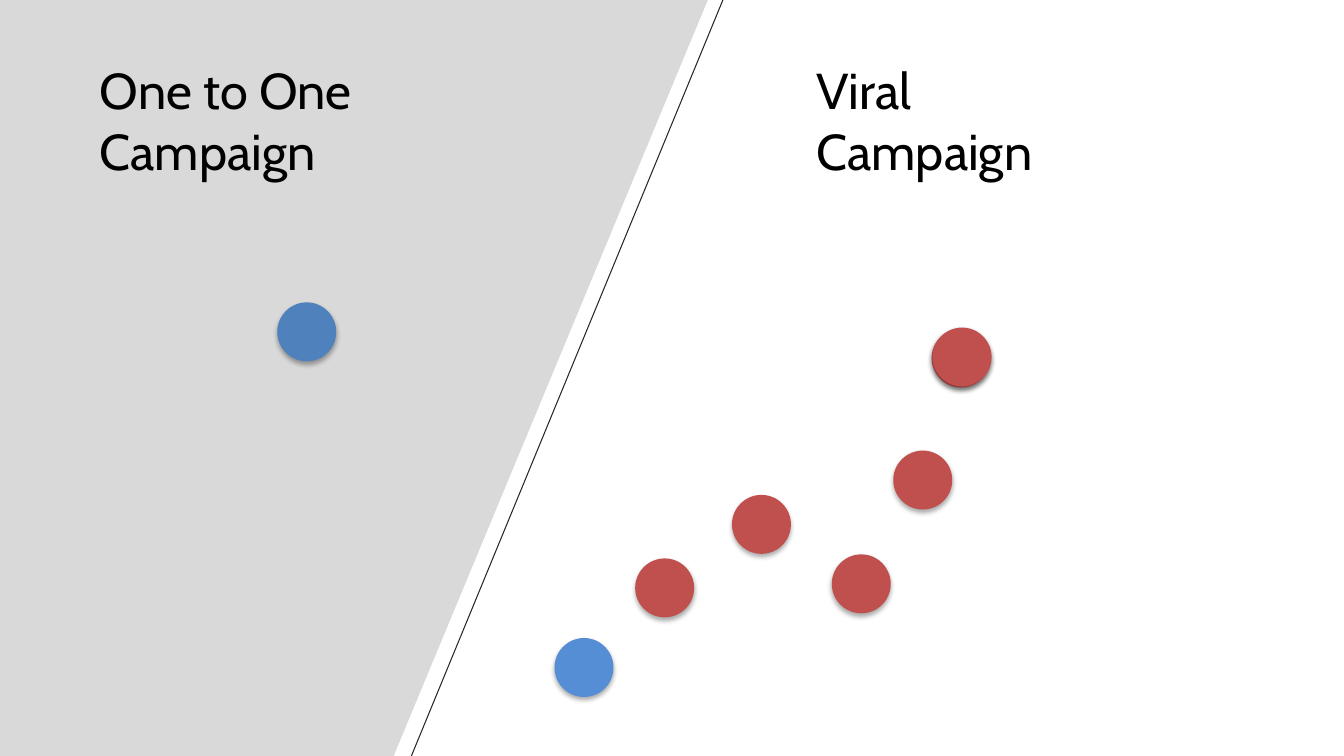
import pptx
import pptx.dml.color
import pptx.enum.shapes
import pptx.enum.text
import pptx.oxml
import pptx.oxml.ns
import pptx.util
from lxml import etree

COLORS = {
    "panel": "D9D9D9",
    "ink": "000000",
    "divider": "262626",
    "sender": "4F81BD",
    "seed": "558ED5",
    "follower": "C0504D",
    "shadow": "000000",
}
FONT = "Cabin"
SLIDE_WIDTH = pptx.util.Inches(13.33)
SLIDE_HEIGHT = pptx.util.Inches(7.5)
ROWS = 75
CELL = SLIDE_HEIGHT / ROWS
PERSON_SIZE = 5.85


def cells(count):
    return pptx.util.Emu(round(count * CELL))


def rgb(name):
    return pptx.dml.color.RGBColor.from_string(COLORS[name])


def add_effects(shape):
    properties = shape._element.spPr
    return etree.SubElement(properties, pptx.oxml.ns.qn("a:effectLst"))


def add_person(slide, box, column, row, color):
    left, top = box
    person = slide.shapes.add_shape(
        pptx.enum.shapes.MSO_SHAPE.OVAL,
        cells(left + column), cells(top + row),
        cells(PERSON_SIZE), cells(PERSON_SIZE),
    )
    person.fill.solid()
    person.fill.fore_color.rgb = rgb(color)
    person.line.fill.background()
    qn = pptx.oxml.ns.qn
    shadow = etree.SubElement(
        add_effects(person), qn("a:outerShdw"),
        blurRad=str(pptx.util.Pt(3.5)), dist=str(pptx.util.Pt(2.2)),
        dir="5400000", rotWithShape="0",
    )
    shade = etree.SubElement(shadow, qn("a:srgbClr"), val=COLORS["shadow"])
    etree.SubElement(shade, qn("a:alpha"), val="32000")


def add_heading(slide, box, column, width, wording):
    left, top = box
    heading = slide.shapes.add_textbox(
        cells(left + column), cells(top + 5.4), cells(width), cells(7.1)
    )
    frame = heading.text_frame
    frame.word_wrap = True
    frame.auto_size = pptx.enum.text.MSO_AUTO_SIZE.SHAPE_TO_FIT_TEXT
    run = frame.paragraphs[0].add_run()
    run.text = wording
    run.font.name = FONT
    run.font.size = pptx.util.Pt(36)
    run.font.color.rgb = rgb("ink")


def add_one_to_one(slide, box):
    left, top = box
    corners = [(70.2, 0), (39, 75.1), (0, 75.1), (0, 0)]
    points = [(cells(left + x), cells(top + y)) for x, y in corners]
    outline = slide.shapes.build_freeform(*points[-1])
    outline.add_line_segments(points[:-1], close=True)
    panel = outline.convert_to_shape()
    panel.shadow.inherit = False
    panel.fill.solid()
    panel.fill.fore_color.rgb = rgb("panel")
    panel.line.fill.background()
    add_person(slide, box, 27.5, 30, "sender")
    add_heading(slide, box, 8.9, 43.2, "One to One Campaign")


def add_viral(slide, box):
    add_person(slide, box, 15, 63.3, "seed")
    followers = [
        (42.5, 55), (23, 55.4), (32.6, 49.1),
        (48.6, 44.7), (52.4, 32.6), (52.5, 32.5),
    ]
    for column, row in followers:
        add_person(slide, box, column, row, "follower")
    add_heading(slide, box, 40, 31.8, "Viral Campaign")


def add_divider(slide, box):
    left, top = box
    divider = slide.shapes.add_connector(
        pptx.enum.shapes.MSO_CONNECTOR.STRAIGHT,
        cells(left + 31.7), cells(top),
        cells(left + 0.8), cells(top + ROWS),
    )
    divider.line.color.rgb = rgb("divider")
    divider.line.width = pptx.util.Pt(0.75)
    add_effects(divider)


def main():
    presentation = pptx.Presentation()
    presentation.slide_width = SLIDE_WIDTH
    presentation.slide_height = SLIDE_HEIGHT
    slide = presentation.slides.add_slide(presentation.slide_layouts[6])
    one_to_one_box, viral_box = (0, 0), (40, 0)
    add_one_to_one(slide, one_to_one_box)
    add_viral(slide, viral_box)
    add_divider(slide, viral_box)
    presentation.save("out.pptx")


if __name__ == "__main__":
    main()
